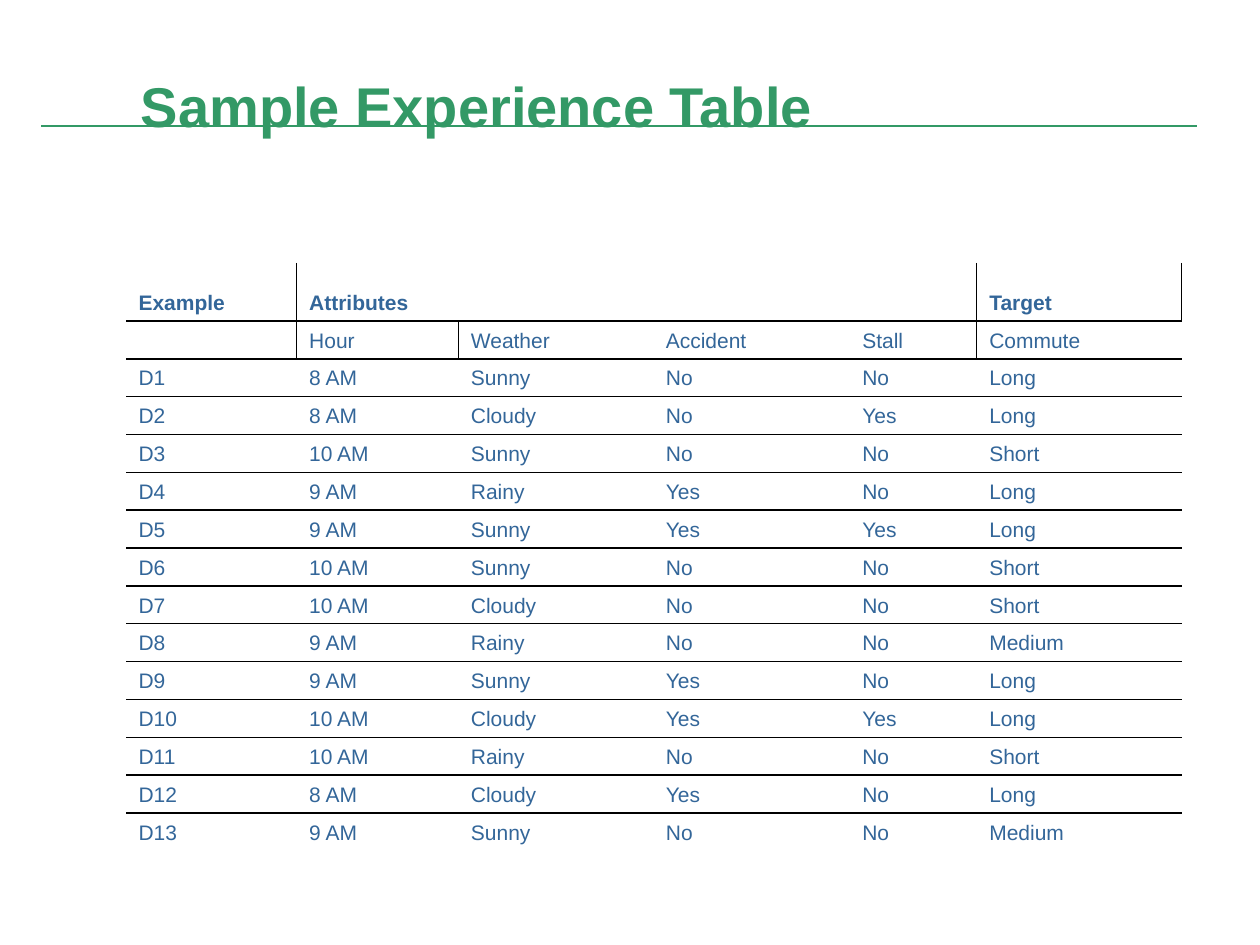
from lxml import etree
from pptx import Presentation
from pptx import util as u
from pptx.dml.color import RGBColor
from pptx.enum import shapes, text
from pptx.oxml import ns

GREEN = RGBColor(0x33, 0x99, 0x66)
BLUE = RGBColor(0x33, 0x66, 0x99)
BLACK = RGBColor(0, 0, 0)
FONT = "Arial"
NO_STYLE = "{2D5ABB26-0587-4C30-8999-92F81FD0307C}"

COLUMN_WIDTHS = [3.44, 3.26, 3.93, 3.96, 2.56, 4.13]
HEADER_HEIGHT, ROW_HEIGHT = 1.17, 0.73
HEADINGS = ["Example", "Attributes", "", "", "", "Target"]
NAMES = ["", "Hour", "Weather", "Accident", "Stall", "Commute"]
EXAMPLES = """8 AM,Sunny,No,No,Long
8 AM,Cloudy,No,Yes,Long
10 AM,Sunny,No,No,Short
9 AM,Rainy,Yes,No,Long
9 AM,Sunny,Yes,Yes,Long
10 AM,Sunny,No,No,Short
10 AM,Cloudy,No,No,Short
9 AM,Rainy,No,No,Medium
9 AM,Sunny,Yes,No,Long
10 AM,Cloudy,Yes,Yes,Long
10 AM,Rainy,No,No,Short
8 AM,Cloudy,Yes,No,Long
9 AM,Sunny,No,No,Medium"""


def style_font(paragraph, size, color, bold):
    """Set the font of a whole paragraph."""
    font = paragraph.font
    font.name, font.size, font.bold = FONT, u.Pt(size), bold
    font.color.rgb = color


def add_title(slide, left, top, width, height):
    """Place the title and the rule that runs across the slide under it."""
    rule_top = u.Cm(top + 2.26)
    rule = slide.shapes.add_connector(
        shapes.MSO_CONNECTOR.STRAIGHT,
        u.Cm(left - 1.76), rule_top, u.Cm(left + 21.54), rule_top)
    rule.line.color.rgb = GREEN
    rule.line.width = u.Pt(1)
    etree.SubElement(rule._element.spPr, ns.qn("a:effectLst"))

    title = slide.shapes.add_textbox(u.Cm(left), u.Cm(top), u.Cm(width), u.Cm(height))
    frame = title.text_frame
    frame.word_wrap = True
    frame.vertical_anchor = text.MSO_ANCHOR.MIDDLE
    frame.text = "Sample Experience Table"
    frame.paragraphs[0].line_spacing = 0.8
    style_font(frame.paragraphs[0], 32, GREEN, True)


def add_borders(cell, sides):
    """Draw 1 pt black borders on the given sides, in L, R, T, B order."""
    properties = cell._tc.get_or_add_tcPr()
    for side in sides:
        border = etree.SubElement(properties, ns.qn(f"a:ln{side}"), w=str(u.Pt(1)))
        fill = etree.SubElement(border, ns.qn("a:solidFill"))
        etree.SubElement(fill, ns.qn("a:srgbClr"), val=str(BLACK))


def border_sides(row, column, last_row):
    """Rule between all rows; the two head rows also part the column groups."""
    sides = ""
    if row < 2:
        sides += "L" if column in (1, 5) else ""
        sides += "R" if column in (0, 4) else ""
    return sides + ("T" if row > 0 else "") + ("B" if row < last_row else "")


def add_experience_table(slide, left, top):
    """Place the table of examples with its two head rows."""
    examples = [[f"D{number}", *line.split(",")]
                for number, line in enumerate(EXAMPLES.splitlines(), 1)]
    rows = [HEADINGS, NAMES, *examples]
    heights = [HEADER_HEIGHT] + [ROW_HEIGHT] * (len(rows) - 1)
    table = slide.shapes.add_table(
        len(rows), len(COLUMN_WIDTHS), u.Cm(left), u.Cm(top),
        u.Cm(sum(COLUMN_WIDTHS)), u.Cm(sum(heights))).table
    table.first_row = table.horz_banding = False
    table._tbl.tblPr.find(ns.qn("a:tableStyleId")).text = NO_STYLE
    for column, width in zip(table.columns, COLUMN_WIDTHS):
        column.width = u.Cm(width)
    for row, height in zip(table.rows, heights):
        row.height = u.Cm(height)

    for r, values in enumerate(rows):
        for c, value in enumerate(values):
            cell = table.cell(r, c)
            add_borders(cell, border_sides(r, c, len(rows) - 1))
            cell.fill.background()
            cell.vertical_anchor = text.MSO_ANCHOR.BOTTOM
            cell.text = value
            paragraph = cell.text_frame.paragraphs[0]
            style_font(paragraph, 12, BLUE, r == 0)
            indent = u.Cm(1.24)
            paragraph._p.get_or_add_pPr().set("marL", str(indent))
            paragraph._p.get_or_add_pPr().set("indent", str(-indent))
            if not value:
                etree.SubElement(paragraph._p, ns.qn("a:endParaRPr"), sz="1200")
    table.cell(0, 1).merge(table.cell(0, 4))


def main():
    """Build the slide and save it."""
    deck = Presentation()
    deck.slide_width, deck.slide_height = u.Cm(25.4), u.Cm(19.05)
    slide = deck.slides.add_slide(deck.slide_layouts[6])
    add_title(slide, 2.59, 0.28, 19.89, 3.94)
    add_experience_table(slide, 2.54, 5.3)
    deck.save("out.pptx")


main()
